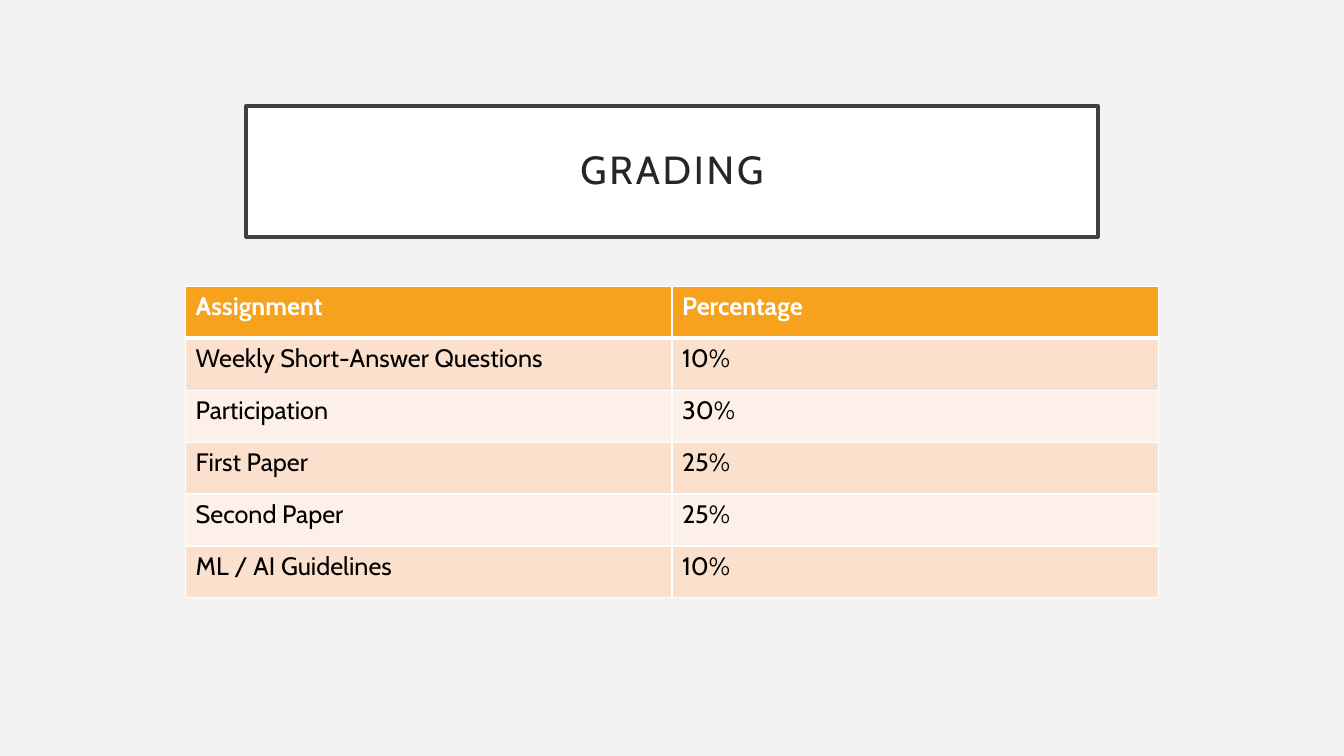
from lxml.etree import SubElement
from pptx import Presentation
from pptx.dml.color import RGBColor
from pptx.enum.shapes import MSO_SHAPE
from pptx.enum.text import MSO_ANCHOR, PP_ALIGN
from pptx.oxml.ns import qn
from pptx.util import Pt

BACKGROUND = RGBColor(0xF2, 0xF2, 0xF2)
WHITE = RGBColor(0xFF, 0xFF, 0xFF)
BLACK = RGBColor(0x00, 0x00, 0x00)
FRAME = RGBColor(0x40, 0x40, 0x40)
TITLE = RGBColor(0x26, 0x26, 0x26)
ORANGE = RGBColor(0xF6, 0xA2, 0x1D)
PEACH = RGBColor(0xFB, 0xE0, 0xCD)
PALE_PEACH = RGBColor(0xFD, 0xF0, 0xE8)

GRADING = [
    ("Assignment", "Percentage"),
    ("Weekly Short-Answer Questions", "10%"),
    ("Participation", "30%"),
    ("First Paper", "25%"),
    ("Second Paper", "25%"),
    ("ML / AI Guidelines", "10%"),
]


class SlideBuilder:
    font_name = "Cabin"

    def __init__(self, prs):
        self.s = prs.slides.add_slide(prs.slide_layouts[6])
        fill = self.s.background.fill
        fill.solid()
        fill.fore_color.rgb = BACKGROUND

    def style(self, p, size, color, bold=False):
        r = p.runs[0]
        r.font.name = self.font_name
        r.font.size = Pt(size)
        r.font.color.rgb = color
        r.font.bold = bold
        return r

    def title(self, text, left, top, width, height):
        sp = self.s.shapes.add_shape(
            MSO_SHAPE.RECTANGLE, Pt(left), Pt(top), Pt(width), Pt(height))
        sp.shadow.inherit = False
        sp.fill.solid()
        sp.fill.fore_color.rgb = WHITE
        sp.line.color.rgb = FRAME
        sp.line.width = Pt(2.5)
        tf = sp.text_frame
        tf.text = text
        tf.word_wrap = True
        tf.vertical_anchor = MSO_ANCHOR.MIDDLE
        tf.margin_left = tf.margin_right = Pt(14.4)
        tf.margin_top = tf.margin_bottom = Pt(14.4)
        p = tf.paragraphs[0]
        p.alignment = PP_ALIGN.CENTER
        p.line_spacing = 0.9
        r = self.style(p, 28, TITLE)
        r.font._element.set("spc", "200")

    def borders(self, cell, top, bottom):
        tcPr = cell._tc.get_or_add_tcPr()
        widths = {"a:lnL": 1, "a:lnR": 1, "a:lnT": top, "a:lnB": bottom}
        for i, (tag, width) in enumerate(widths.items()):
            ln = SubElement(tcPr, qn(tag), w=str(Pt(width)))
            fill = SubElement(ln, qn("a:solidFill"))
            SubElement(fill, qn("a:srgbClr"), val=str(WHITE))
            tcPr.insert(i, ln)

    def table(self, rows, left, top, width, height):
        table = self.s.shapes.add_table(
            len(rows), len(rows[0]),
            Pt(left), Pt(top), Pt(width), Pt(height)).table
        for i, row in enumerate(rows):
            header = i == 0
            band = ORANGE if header else PEACH if i % 2 else PALE_PEACH
            for j, text in enumerate(row):
                cell = table.cell(i, j)
                cell.fill.solid()
                cell.fill.fore_color.rgb = band
                cell.text_frame.text = text
                self.style(cell.text_frame.paragraphs[0], 18,
                           WHITE if header else BLACK, header)
                self.borders(cell, 3 if i == 1 else 1, 3 if header else 1)


def main():
    prs = Presentation()
    prs.slide_width = Pt(960)
    prs.slide_height = Pt(540)
    slide = SlideBuilder(prs)
    slide.title("GRADING", 175.8, 75.6, 608.4, 93.6)
    slide.table(GRADING, 132.6, 204.6, 694.8, 222.6)
    prs.save("out.pptx")


if __name__ == "__main__":
    main()
